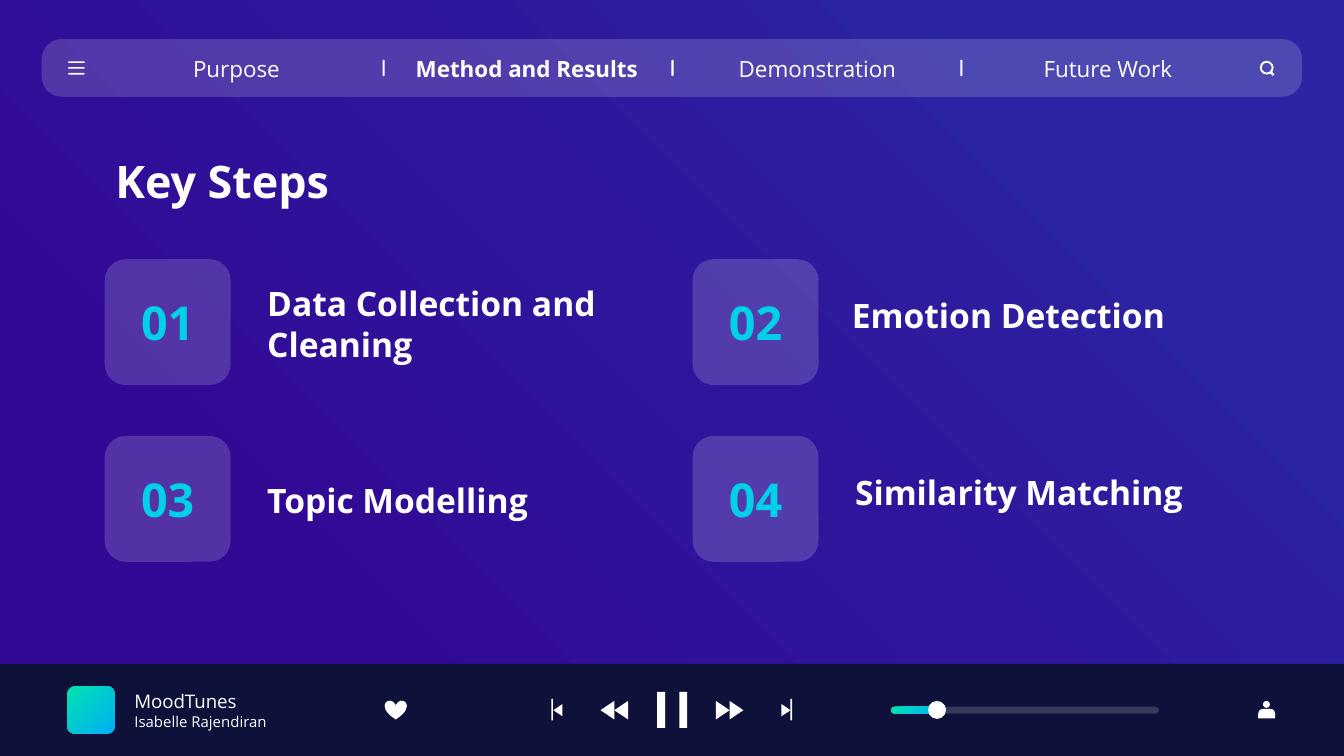
from copy import deepcopy

from pptx import Presentation
from pptx import util as u
from pptx.dml.color import RGBColor
from pptx.enum import shapes, text
from pptx.oxml.ns import qn
from lxml import etree

Cm = u.Cm
MSO = shapes.MSO_SHAPE
MIDDLE, TOP = text.MSO_ANCHOR.MIDDLE, text.MSO_ANCHOR.TOP
LEFT, CENTER = text.PP_ALIGN.LEFT, text.PP_ALIGN.CENTER
WHITE, CYAN, NAVY = "FFFFFF", "00D1E9", "0E1139"
NIGHT = [(0.21, "310995"), (0.53, "2F159B"), (0.82, "2B25A3")]
AQUA = [(0, "00E4AE"), (1, "00AEF8")]


def rgb(hex_):
    return RGBColor.from_string(hex_)


def gradient(fill, root, stops, angle):
    fill.gradient()
    fill.gradient_angle = angle
    gs_list = root.xpath(".//a:gsLst")[0]
    for _ in range(len(stops) - 2):
        gs_list.append(deepcopy(gs_list[0]))
    for stop, (pos, hex_) in zip(fill.gradient_stops, stops):
        stop.position = pos
        stop.color.rgb = rgb(hex_)


def paint(sp, fill=WHITE, alpha=None):
    """Fill with a hex colour, or a list of gradient stops; no line or shadow."""
    sp.shadow.inherit = False
    sp.line.fill.background()
    if isinstance(fill, list):
        gradient(sp.fill, sp._element, fill, 315)
        return
    sp.fill.solid()
    sp.fill.fore_color.rgb = rgb(fill)
    if alpha:
        clr = sp._element.spPr.find(qn("a:solidFill"))[0]
        etree.SubElement(clr, qn("a:alpha")).set("val", str(alpha * 1000))


def shape(s, kind, x, y, w, h, fill=WHITE, alpha=None, adj=None):
    sp = s.shapes.add_shape(kind, Cm(x), Cm(y), Cm(w), Cm(h))
    if adj is not None:
        sp.adjustments[0] = adj
    paint(sp, fill, alpha)
    return sp


def triangle(s, x, y, w, h):
    """Triangle with its upright side at x; a negative w points left."""
    fb = s.shapes.build_freeform(Cm(x), Cm(y))
    fb.add_line_segments([(Cm(x), Cm(y + h)), (Cm(x + w), Cm(y + h / 2))])
    paint(fb.convert_to_shape())


def line(s, x1, y1, x2, y2, width):
    c = s.shapes.add_connector(shapes.MSO_CONNECTOR.STRAIGHT,
                               Cm(x1), Cm(y1), Cm(x2), Cm(y2))
    c.line.color.rgb = rgb(WHITE)
    c.line.width = u.Pt(width)
    etree.SubElement(c._element.spPr, qn("a:effectLst"))


def label(s, x, y, w, h, lines, bold=False, color=WHITE, align=LEFT, anchor=MIDDLE):
    """Text box; lines is a list of (text, size)."""
    tf = s.shapes.add_textbox(Cm(x), Cm(y), Cm(w), Cm(h)).text_frame
    tf.word_wrap = True
    tf.vertical_anchor = anchor
    tf.margin_left = tf.margin_right = tf.margin_top = tf.margin_bottom = Cm(0.25)
    for i, (words, size) in enumerate(lines):
        p = tf.add_paragraph() if i else tf.paragraphs[0]
        p.alignment = align
        r = p.add_run()
        r.text = words
        r.font.name = "Open Sans"
        r.font.size = u.Pt(size)
        r.font.bold = bold
        r.font.color.rgb = rgb(color)


def nav_bar(s, x, y, w, h, tabs, active):
    shape(s, MSO.ROUNDED_RECTANGLE, x, y, w, h, alpha=17, adj=0.344)
    # Menu icon
    for i in range(3):
        shape(s, MSO.ROUNDED_RECTANGLE, x + 0.5, y + 0.42 + i * 0.11, 0.31, 0.03, adj=0.5)
    # Tabs and the dividers between them
    for i, tab in enumerate(tabs):
        label(s, x + 1.14 + i * 5.49, y + 0.11, 5.08, 0.89, [(tab, 12)],
              bold=tab == active, align=CENTER)
        if i:
            shape(s, MSO.ROUNDED_RECTANGLE, x + 0.98 + i * 5.46, y + 0.39, 0.04, 0.31, adj=0.5)
    # Search icon
    shape(s, MSO.DONUT, x + w - 0.8, y + 0.41, 0.26, 0.26, adj=0.14)
    line(s, x + w - 0.6, y + 0.62, x + w - 0.54, y + 0.68, 1.25)


def player(s, x, y, w, h, track, artist):
    shape(s, MSO.RECTANGLE, x, y, w, h, NAVY)
    # Cover, track and like icon
    shape(s, MSO.ROUNDED_RECTANGLE, x + 1.27, y + 0.42, 0.9, 0.9, AQUA, adj=0.167)
    label(s, x + 2.29, y + 0.42, 4.34, 0.9, [(track, 10), (artist, 8)])
    shape(s, MSO.HEART, x + 7.27, y + 0.69, 0.42, 0.36)
    # Controls, mirrored about the middle
    mid = x + w / 2
    for d in (-1, 1):
        shape(s, MSO.RECTANGLE, mid + d * 0.21 - 0.07, y + 0.53, 0.15, 0.68)
        for offset in (0.83, 1.09):
            triangle(s, mid + d * offset, y + 0.7, d * 0.26, 0.35)
        triangle(s, mid + d * 2.07, y + 0.76, d * 0.17, 0.23)
        shape(s, MSO.RECTANGLE, mid + d * 2.26 - 0.02, y + 0.66, 0.03, 0.41)
    # Progress
    for length, fill, alpha in ((5.06, WHITE, 17), (0.88, AQUA, None)):
        shape(s, MSO.ROUNDED_RECTANGLE, x + 16.84, y + 0.81, length, 0.13, fill, alpha, adj=0.5)
    shape(s, MSO.OVAL, x + 17.54, y + 0.7, 0.34, 0.34)
    # Profile icon
    shape(s, MSO.OVAL, x + 23.87, y + 0.7, 0.13, 0.13)
    shape(s, MSO.ROUND_2_SAME_RECTANGLE, x + 23.78, y + 0.85, 0.32, 0.18, adj=0.5)


def step(s, x, y, size, number, title, gap, anchor):
    shape(s, MSO.ROUNDED_RECTANGLE, x, y, size, size, alpha=17, adj=0.167)
    label(s, x, y, size, size, [(number, 25)], bold=True, color=CYAN, align=CENTER)
    top, height = (0.43, 1.5) if anchor == TOP else (0.77, 0.89)
    label(s, x + size + gap, y + top, 7.52, height, [(title, 18)], bold=True, anchor=anchor)


def steps_grid(s, x, y, dx, dy, steps):
    for i, (title, gap, anchor) in enumerate(steps):
        row, col = divmod(i, 2)
        step(s, x + col * dx, y + row * dy, 2.38, f"{i + 1:02d}", title, gap, anchor)


def main():
    prs = Presentation()
    prs.slide_width, prs.slide_height = Cm(25.4), Cm(14.29)
    s = prs.slides.add_slide(prs.slide_layouts[6])
    gradient(s.background.fill, s._element, NIGHT, 45)

    player(s, 0, 12.55, 25.4, 1.74, "MoodTunes", "Isabelle Rajendiran")
    nav_bar(s, 0.79, 0.74, 23.82, 1.09,
            ["Purpose", "Method and Results", "Demonstration", "Future Work"],
            "Method and Results")
    label(s, 1.93, 2.9, 21.44, 1.04, [("Key Steps", 24)], bold=True)
    steps_grid(s, 1.98, 4.9, 11.11, 3.34, [
        ("Data Collection and Cleaning", 0.44, MIDDLE),
        ("Emotion Detection", 0.38, TOP),
        ("Topic Modelling", 0.44, MIDDLE),
        ("Similarity Matching", 0.44, TOP),
    ])
    prs.save("out.pptx")


if __name__ == "__main__":
    main()
